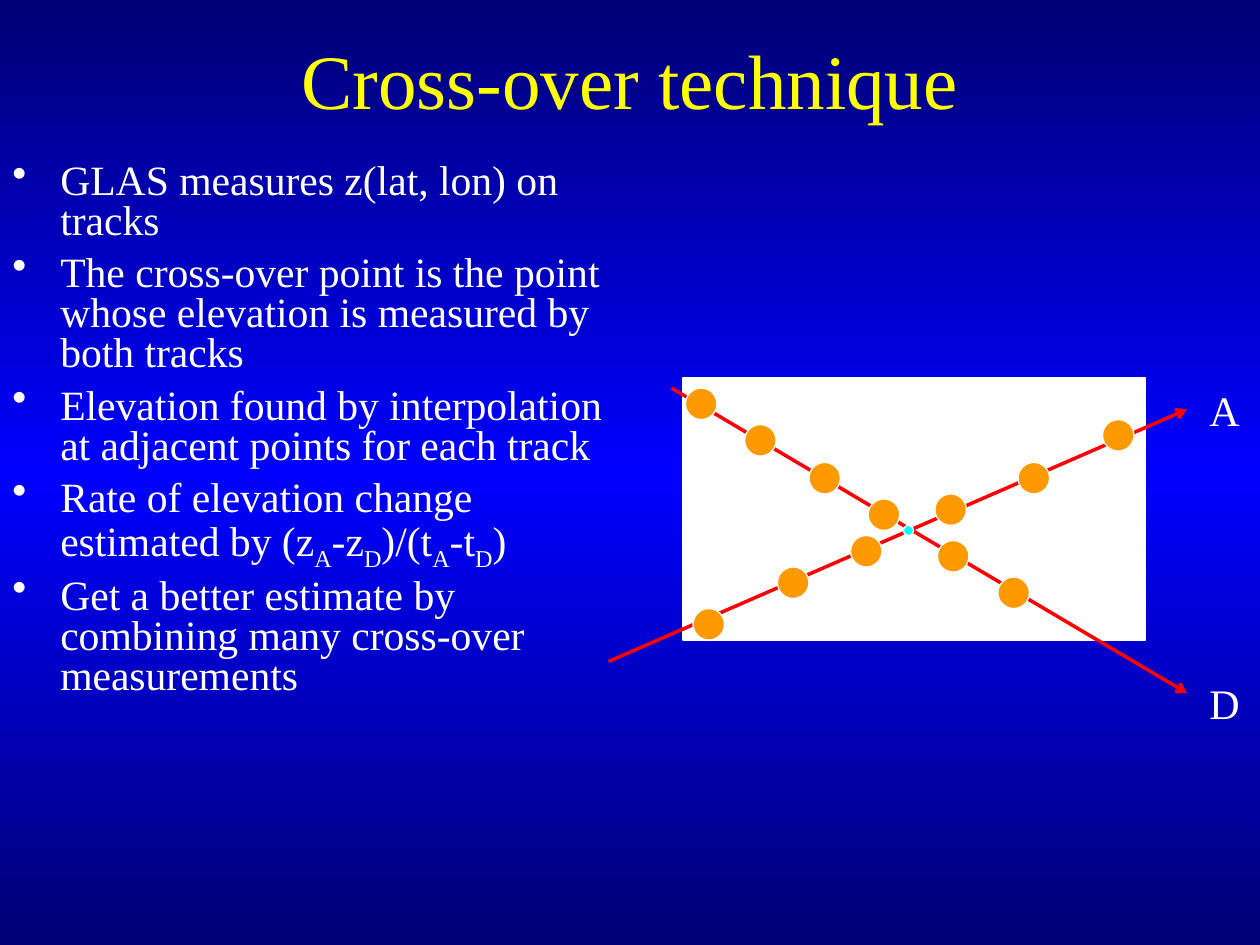
import copy

import pptx
import pptx.dml.color
import pptx.enum.shapes
import pptx.enum.text
import pptx.oxml
import pptx.oxml.ns
import pptx.util

Inches = pptx.util.Inches
Pt = pptx.util.Pt
RGBColor = pptx.dml.color.RGBColor
SHAPE = pptx.enum.shapes.MSO_SHAPE
ANCHOR = pptx.enum.text.MSO_ANCHOR
ALIGN = pptx.enum.text.PP_ALIGN
qn = pptx.oxml.ns.qn

NAVY = RGBColor(0x00, 0x00, 0x75)
BLUE = RGBColor(0x00, 0x00, 0xFF)
WHITE = RGBColor(0xFF, 0xFF, 0xFF)
YELLOW = RGBColor(0xFF, 0xFF, 0x00)
RED = RGBColor(0xFF, 0x00, 0x00)
ORANGE = RGBColor(0xFF, 0x99, 0x00)
CYAN = RGBColor(0x00, 0xFF, 0xFF)

# Text pieces; a pair of runs alternates normal, subscript, normal, ...
BULLETS = [
    ["GLAS measures z(lat, lon) on tracks"],
    ["The cross-over point is the point whose elevation is measured by both tracks"],
    ["Elevation found by interpolation at adjacent points for each track"],
    ["Rate of elevation change estimated by (z", "A", "-z", "D", ")/(t", "A", "-t", "D", ")"],
    ["Get a better estimate by combining many cross-over measurements"],
]
ASCENDING = [(6.75, 4.25), (7.42, 3.92), (8.08, 3.67), (8.75, 3.33), (5.5, 4.83), (6.17, 4.5)]
DESCENDING = [(6.42, 3.67), (6.89, 3.96), (7.44, 4.29), (7.92, 4.58), (5.44, 3.08), (5.91, 3.37)]


def apply(obj, values):
    for name, value in values.items():
        setattr(obj, name, value)


def box(left, top, width, height):
    return [Inches(v) for v in (left, top, width, height)]


class SlideBuilder:
    font = "Times New Roman"

    def __init__(self, prs):
        self.s = prs.slides.add_slide(prs.slide_layouts[5])

    def background(self, colors):
        fill = self.s.background.fill
        fill.gradient()
        fill.gradient_angle = 90
        stops = next(self.s.element.iter(qn("a:gsLst")))
        while len(stops) < len(colors):
            stops.append(copy.deepcopy(stops[0]))
        for i, (stop, color) in enumerate(zip(fill.gradient_stops, colors)):
            stop.position = i / (len(colors) - 1)
            stop.color.rgb = color

    def run(self, p, text, size, color, subscript=False):
        r = p.add_run()
        r.text = text
        apply(r.font, {"name": self.font, "size": Pt(size)})
        r.font.color.rgb = color
        if subscript:
            r.font._element.set("baseline", "-25000")

    def title(self, text, left, top, width, height):
        sp = self.s.shapes.title
        apply(sp, dict(zip(("left", "top", "width", "height"), box(left, top, width, height))))
        tf = sp.text_frame
        apply(tf, {"word_wrap": True, "vertical_anchor": ANCHOR.MIDDLE})
        p = tf.paragraphs[0]
        p.alignment = ALIGN.CENTER
        self.run(p, text, 44, YELLOW)

    def text_frame(self, left, top, width, height):
        tf = self.s.shapes.add_textbox(*box(left, top, width, height)).text_frame
        tf.word_wrap = True
        return tf

    def bullets(self, items, left, top, width, height):
        tf = self.text_frame(left, top, width, height)
        for i, pieces in enumerate(items):
            p = tf.paragraphs[0] if i == 0 else tf.add_paragraph()
            pPr = p._p.get_or_add_pPr()
            pPr.set("marL", str(Inches(0.38)))
            pPr.set("indent", str(-Inches(0.38)))
            color = pptx.oxml.parse_xml(
                f'<a:buClr {pptx.oxml.ns.nsdecls("a")}><a:srgbClr val="{WHITE}"/></a:buClr>')
            pPr.append(color)
            pPr.append(pptx.oxml.parse_xml(f'<a:buChar {pptx.oxml.ns.nsdecls("a")} char="•"/>'))
            apply(p, {"line_spacing": 0.8, "space_before": Pt(7 if i else 0)})
            for j, piece in enumerate(pieces):
                self.run(p, piece, 23.8, WHITE, subscript=j % 2 == 1)

    def label(self, text, left, top):
        tf = self.text_frame(left, top, 0.5, 0.5)
        self.run(tf.paragraphs[0], text, 24, WHITE)

    def shape(self, kind, fill, left, top, width, height):
        sp = self.s.shapes.add_shape(kind, *box(left, top, width, height))
        sp.shadow.inherit = False
        sp.fill.solid()
        sp.fill.fore_color.rgb = fill
        sp.line.color.rgb = WHITE
        sp.line.width = Pt(0.75)

    def dot(self, fill, left, top, size):
        self.shape(SHAPE.OVAL, fill, left, top, size, size)

    def arrow(self, start, end):
        line = self.s.shapes.add_connector(
            pptx.enum.shapes.MSO_CONNECTOR.STRAIGHT, *[Inches(v) for v in start + end])
        line.line.color.rgb = RED
        line.line.width = Pt(2)
        ln = line.line._get_or_add_ln()
        ln.append(ln.makeelement(qn("a:tailEnd"), {"type": "arrow"}))
        spPr = line._element.spPr
        spPr.append(spPr.makeelement(qn("a:effectLst"), {}))


def main():
    prs = pptx.Presentation()
    apply(prs, {"slide_width": Inches(10), "slide_height": Inches(7.5)})
    slide = SlideBuilder(prs)

    # Background and text
    slide.background([NAVY, BLUE, NAVY])
    slide.title("Cross-over technique", 0.75, 0, 8.5, 1.25)
    slide.bullets(BULLETS, 0, 1.25, 5.08, 4.5)

    # Crossing tracks
    slide.shape(SHAPE.RECTANGLE, WHITE, 5.42, 3, 3.67, 2.08)
    slide.arrow((4.83, 5.25), (9.42, 3.25))
    slide.arrow((5.33, 3.08), (9.42, 5.5))

    # Measurement points, track labels and the cross-over point
    for left, top in ASCENDING + DESCENDING:
        slide.dot(ORANGE, left, top, 0.25)
    slide.label("A", 9.5, 3)
    slide.label("D", 9.5, 5.33)
    slide.dot(CYAN, 7.17, 4.17, 0.08)

    prs.save("out.pptx")


if __name__ == "__main__":
    main()
